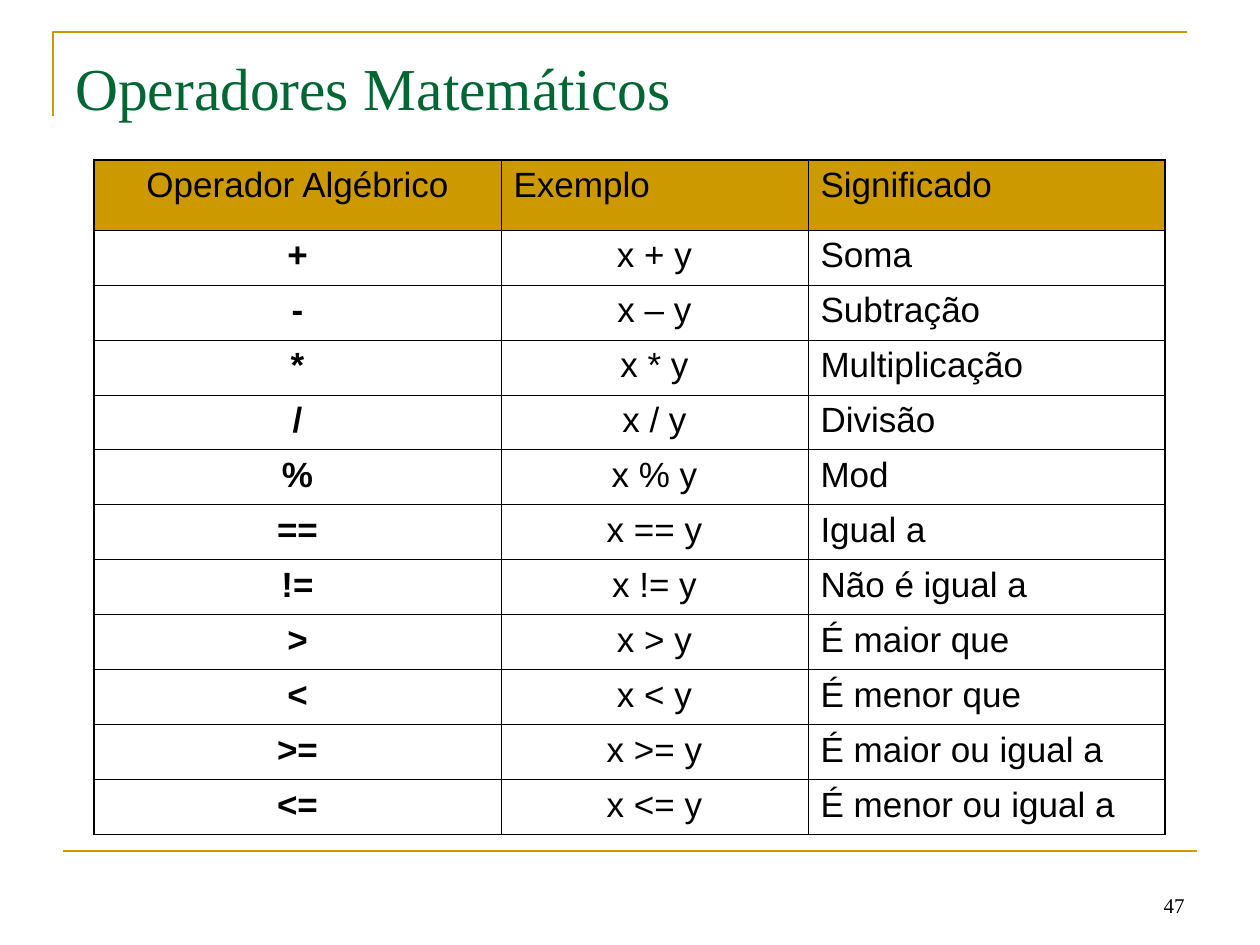
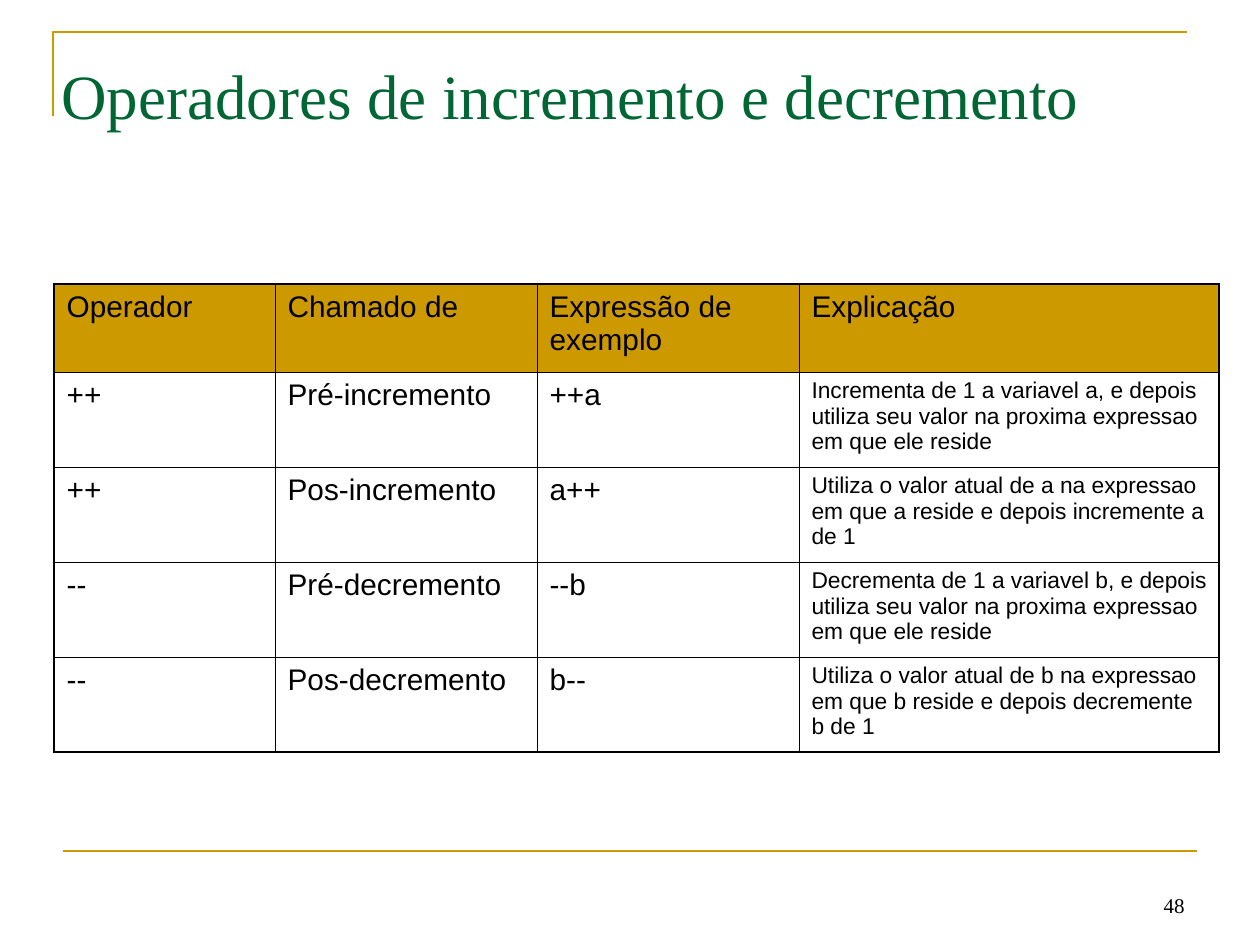
from dataclasses import dataclass

from lxml import etree
from pptx import Presentation
from pptx.dml.color import RGBColor
from pptx.enum.shapes import MSO_CONNECTOR
from pptx.enum.text import MSO_ANCHOR, PP_ALIGN
from pptx.oxml.ns import qn
from pptx.util import Emu, Pt

STRAIGHT = MSO_CONNECTOR.STRAIGHT
TOP, BOTTOM = MSO_ANCHOR.TOP, MSO_ANCHOR.BOTTOM
LEFT, CENTER, RIGHT = PP_ALIGN.LEFT, PP_ALIGN.CENTER, PP_ALIGN.RIGHT
EMU_PER_PX = 914400 / 126


@dataclass(frozen=True)
class Theme:
    gold: str = "CC9900"
    green: str = "006633"
    black: str = "000000"
    serif: str = "Times New Roman"
    sans: str = "Arial"
    page_size: int = 12
    operator_size: int = 20
    step_size: int = 17
    explanation_size: int = 13
    rule_width: float = 1.5
    outer_border: float = 1.08
    inner_border: float = 0.45


THEME = Theme()


@dataclass(frozen=True)
class Column:
    heading: str
    width: int
    size: int
    align: int = LEFT
    heading_align: int = LEFT
    bold: bool = False


OPERATOR_COLUMNS = [
    Column("Operador Algébrico", 407, THEME.operator_size, CENTER, CENTER, True),
    Column("Exemplo", 307, THEME.operator_size, CENTER),
    Column("Significado", 357, THEME.operator_size),
]
OPERATORS = [
    ("+", "x + y", "Soma"),
    ("-", "x – y", "Subtração"),
    ("*", "x * y", "Multiplicação"),
    ("/", "x / y", "Divisão"),
    ("%", "x % y", "Mod"),
    ("==", "x == y", "Igual a"),
    ("!=", "x != y", "Não é igual a"),
    (">", "x > y", "É maior que"),
    ("<", "x < y", "É menor que"),
    (">=", "x >= y", "É maior ou igual a"),
    ("<=", "x <= y", "É menor ou igual a"),
]

STEP_COLUMNS = [
    Column("Operador", 221, THEME.step_size),
    Column("Chamado de", 262, THEME.step_size),
    Column("Expressão de exemplo", 262, THEME.step_size),
    Column("Explicação", 420, THEME.explanation_size),
]
STEPS = [
    ("++", "Pré-incremento", "++a",
     "Incrementa de 1 a variavel a, e depois utiliza seu valor na proxima "
     "expressao em que ele reside"),
    ("++", "Pos-incremento", "a++",
     "Utiliza o valor atual de a na expressao em que a reside e depois "
     "incremente a de 1"),
    ("--", "Pré-decremento", "--b",
     "Decrementa de 1 a variavel b, e depois utiliza seu valor na proxima "
     "expressao em que ele reside"),
    ("--", "Pos-decremento", "b--",
     "Utiliza o valor atual de b na expressao em que b reside e depois "
     "decremente b de 1"),
]


def px(length):
    return Emu(round(length * EMU_PER_PX))


def color(value):
    return RGBColor.from_string(value)


def add_run(paragraph, text, font_name, size, ink, bold=False):
    run = paragraph.add_run()
    run.text = text
    run.font.name = font_name
    run.font.size = Pt(size)
    run.font.bold = bold
    run.font.color.rgb = color(ink)


def add_text(slide, box, text, size, ink, align=LEFT, anchor=BOTTOM, top_inset=6):
    frame = slide.shapes.add_textbox(*map(px, box)).text_frame
    frame.word_wrap = True
    frame.vertical_anchor = anchor
    frame.margin_top = px(top_inset)
    paragraph = frame.paragraphs[0]
    paragraph.alignment = align
    add_run(paragraph, text, THEME.serif, size, ink)


def style_rule(line):
    line.color.rgb = color(THEME.gold)
    line.width = Pt(THEME.rule_width)


def add_page(prs, number):
    """Blank slide with the corner frame, bottom rule and page number."""
    slide = prs.slides.add_slide(prs.slide_layouts[6])

    # Corner frame
    builder = slide.shapes.build_freeform(px(53), px(116))
    builder.add_line_segments([(px(53), px(32)), (px(1187), px(32))], close=False)
    corner = builder.convert_to_shape()
    corner.shadow.inherit = False
    corner.fill.background()
    style_rule(corner.line)

    # Bottom rule
    rule = slide.shapes.add_connector(STRAIGHT, px(63), px(851), px(1197), px(851))
    style_rule(rule.line)
    etree.SubElement(rule._element.spPr, qn("a:effectLst"))

    # Page number
    add_text(slide, (903, 861, 294, 63), str(number), THEME.page_size,
             THEME.black, RIGHT)
    return slide


def set_border(cell, side, width):
    border = etree.SubElement(cell._tc.get_or_add_tcPr(), qn(f"a:ln{side}"),
                              w=str(Pt(width)))
    fill = etree.SubElement(border, qn("a:solidFill"))
    etree.SubElement(fill, qn("a:srgbClr"), val=THEME.black)


def add_operator_table(slide, left, top, columns, rows, heading_height, row_height):
    heights = [heading_height] + [row_height] * len(rows)
    width = sum(column.width for column in columns)
    table = slide.shapes.add_table(len(heights), len(columns), px(left), px(top),
                                   px(width), px(sum(heights))).table
    table.first_row = table.horz_banding = False
    for grid_column, column in zip(table.columns, columns):
        grid_column.width = px(column.width)
    for grid_row, height in zip(table.rows, heights):
        grid_row.height = px(height)

    heading_size = columns[0].size
    last_row, last_column = len(rows), len(columns) - 1
    for r, texts in enumerate([[c.heading for c in columns], *rows]):
        for c, (column, text) in enumerate(zip(columns, texts)):
            cell = table.cell(r, c)
            is_heading = r == 0

            # Heavier lines on the outside; borders must come before the fill
            outside = {"L": c == 0, "R": c == last_column,
                       "T": is_heading, "B": r == last_row}
            for side, is_outer in outside.items():
                set_border(cell, side,
                           THEME.outer_border if is_outer else THEME.inner_border)
            if is_heading:
                cell.fill.solid()
                cell.fill.fore_color.rgb = color(THEME.gold)
            else:
                cell.fill.background()

            paragraph = cell.text_frame.paragraphs[0]
            paragraph.alignment = column.heading_align if is_heading else column.align
            add_run(paragraph, text, THEME.sans,
                    heading_size if is_heading else column.size,
                    THEME.black, column.bold and not is_heading)


def main():
    prs = Presentation()
    prs.slide_width, prs.slide_height = px(1260), px(945)

    # Mathematical operators
    operators = add_page(prs, 47)
    add_text(operators, (63, 38, 1134, 105), "Operadores Matemáticos", 34,
             THEME.green, anchor=TOP, top_inset=13)
    add_operator_table(operators, 94, 160, OPERATOR_COLUMNS, OPERATORS, 70, 55)

    # Increment and decrement
    steps = add_page(prs, 48)
    add_text(steps, (49, 55, 1134, 83), "Operadores de incremento e decremento",
             36, THEME.green)
    add_operator_table(steps, 54, 284, STEP_COLUMNS, STEPS, 88, 95)

    prs.save("out.pptx")


if __name__ == "__main__":
    main()
